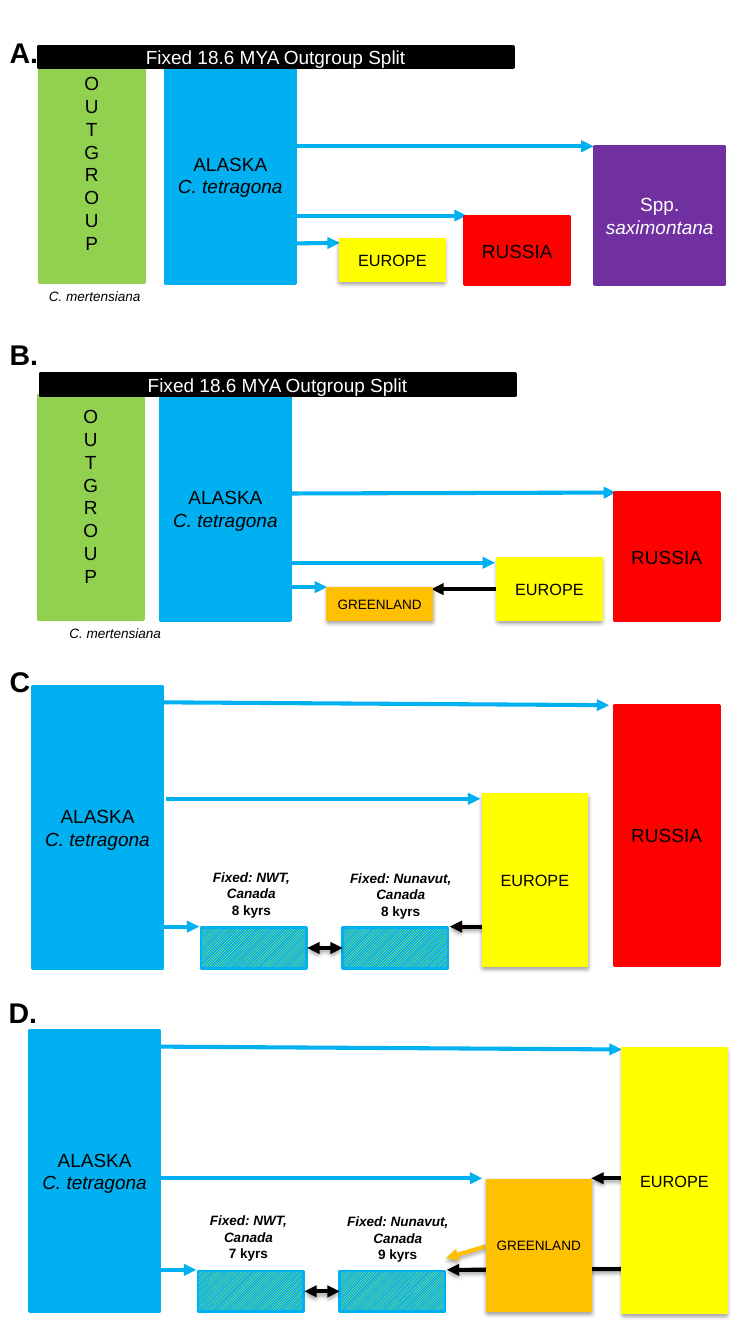
from pptx import Presentation
from pptx.dml.color import RGBColor as Rgb
from pptx.enum.dml import MSO_PATTERN as Pat
from pptx.enum.shapes import MSO_CONNECTOR as Con, MSO_SHAPE as Shp
from pptx.enum.text import MSO_ANCHOR as Anc, PP_ALIGN as Al
from pptx.oxml.ns import qn
from pptx.util import Cm, Inches as In, Pt
from lxml.etree import SubElement as Sub

HUES = {"blue": "00B0F0", "green": "92D050", "black": "000000", "white": "FFFFFF",
        "red": "FF0000", "yellow": "FFFF00", "orange": "FFC000", "purple": "7030A0"}

# Box kinds: fill, text colour, size, width, shadow, lines (* marks italics)
KINDS = {
    "alaska": ("blue", "black", 14, 1.34, False, ["ALASKA", "*C. tetragona"]),
    "outgroup": ("green", "black", 14, 1.08, False, list("OUTGROUP")),
    "split": ("black", "white", 14, 4.87, False, ["Fixed 18.6 MYA Outgroup Split"]),
    "spp": ("purple", "white", 14, 1.34, False, ["Spp.", "*saximontana"]),
    "russia": ("red", "black", 14, 1.08, False, ["RUSSIA"]),
    "europe": ("yellow", "black", 12, 1.08, True, ["EUROPE"]),
    "greenland": ("orange", "black", 10, 1.08, True, ["GREENLAND"]),
    "canada": ("blue", "black", 10, 1.08, False, []),
}

# Panels: letter (text, left, top), boxes (kind, left, top, height),
# arrows (colour, x1, y1, x2, y2, shadow), notes (lines, left, top, width)
PANELS = [
    {"letter": ("A.", 0, 0.31),
     "boxes": [("alaska", 1.69, 0.68, 2.23), ("outgroup", 0.4, 0.67, 2.23),
               ("spp", 6.09, 1.5, 1.42), ("europe", 3.48, 2.45, 0.44),
               ("split", 0.39, 0.48, 0.21), ("russia", 4.76, 2.22, 0.7)],
     "arrows": [("blue", 2.23, 1.5, 6.08, 1.5, False),
                ("blue", 2.37, 2.21, 4.78, 2.21, False),
                ("blue", 2.63, 2.5, 3.48, 2.49, False)],
     "notes": [(["*C. mertensiana"], 0.39, 2.9, 1.16)]},
    {"letter": ("B.", 0, 3.41),
     "boxes": [("alaska", 1.64, 4.06, 2.3), ("outgroup", 0.39, 4.05, 2.3),
               ("greenland", 3.35, 6.02, 0.34), ("split", 0.41, 3.83, 0.23),
               ("russia", 6.29, 5.05, 1.31), ("europe", 5.09, 5.72, 0.64)],
     "arrows": [("black", 5.25, 6.04, 4.42, 6.04, False),
                ("blue", 2.87, 5.06, 6.31, 5.05, False),
                ("blue", 2.78, 6.02, 3.35, 6.02, False),
                ("blue", 2.97, 5.77, 5.07, 5.77, False)],
     "notes": [(["*C. mertensiana"], 0.6, 6.36, 1.16)]},
    {"letter": ("C.", 0, 6.76), "canada": (0.33, 7.04, "8 kyrs", "8 kyrs"),
     "boxes": [("europe", 4.94, 8.14, 1.77), ("russia", 6.29, 7.23, 2.67)],
     "arrows": [("black", 5.37, 9.5, 4.61, 9.5, True),
                ("blue", 1.54, 7.2, 6.24, 7.23, False),
                ("blue", 1.7, 8.19, 4.92, 8.19, False)],
     "notes": []},
    {"letter": ("D.", -0.01, 10.15), "canada": (0.3, 10.56, "7 kyrs", "9 kyrs"),
     "boxes": [("europe", 6.37, 10.74, 2.73), ("greenland", 4.98, 12.09, 1.36)],
     "arrows": [("black", 6.91, 12.08, 6.06, 12.08, True),
                ("black", 6.56, 13.01, 4.58, 13.02, True),
                ("blue", 1.51, 10.73, 6.37, 10.76, False),
                ("blue", 1.54, 12.08, 4.94, 12.08, False),
                ("orange", 4.97, 12.78, 4.57, 12.9, True)],
     "notes": []},
]

prs = Presentation()
prs.slide_width = In(7.5)
prs.slide_height = Cm(35)
slide = prs.slides.add_slide(prs.slide_layouts[6])
shapes = slide.shapes


def hue(name):
    return Rgb.from_string(HUES[name])


def shade(fx):
    drop = Sub(fx, qn("a:outerShdw"), blurRad=str(Pt(3.1)), dist=str(Pt(1.8)),
               dir="5400000", rotWithShape="0")
    tint = Sub(drop, qn("a:srgbClr"), val=HUES["black"])
    Sub(tint, qn("a:alpha"), val="35000")


def write(frame, lines, size, tone="black", bold=False, align=Al.CENTER):
    frame.word_wrap = True
    frame.text = "\n".join(line.lstrip("*") for line in lines)
    for para, line in zip(frame.paragraphs, lines):
        para.alignment = align
        for run in para.runs:
            font = run.font
            font.name, font.size, font.bold = "Arial", Pt(size), bold
            font.italic = line.startswith("*")
            font.color.rgb = hue(tone)


def add_box(kind, left, top, high):
    fill, tone, size, wide, dark, lines = KINDS[kind]
    box = shapes.add_shape(Shp.RECTANGLE, In(left), In(top), In(wide), In(high))
    if kind == "canada":
        box.fill.patterned()
        box.fill.pattern = Pat.DARK_UPWARD_DIAGONAL
        box.fill.fore_color.rgb, box.fill.back_color.rgb = hue("yellow"), hue(fill)
    else:
        box.fill.solid()
        box.fill.fore_color.rgb = hue(fill)
    box.line.color.rgb = hue(fill)
    box.line.width = Pt(0.75 if dark else 2)
    box.shadow.inherit = False
    if dark:
        shade(box._element.spPr.find(qn("a:effectLst")))
    if lines:
        frame = box.text_frame
        frame.vertical_anchor = Anc.MIDDLE
        write(frame, lines, size, tone)
        if kind == "outgroup":
            frame.margin_bottom = In(0.28)


def add_arrow(tone, x1, y1, x2, y2, dark, both=False):
    arrow = shapes.add_connector(Con.STRAIGHT, In(x1), In(y1), In(x2), In(y2))
    arrow.line.color.rgb, arrow.line.width = hue(tone), Pt(3)
    ends = ("headEnd", "tailEnd") if both else ("tailEnd",)
    for end in ends:
        Sub(arrow.line._get_or_add_ln(), qn("a:" + end), type="triangle")
    fx = Sub(arrow._element.spPr, qn("a:effectLst"))
    if dark:
        shade(fx)


def add_text(lines, left, top, wide, high, size, bold, align=Al.CENTER, side=0.1):
    text = shapes.add_textbox(In(left), In(top), In(wide), In(high))
    frame = text.text_frame
    frame.margin_left = frame.margin_right = In(side)
    write(frame, lines, size, bold=bold, align=align)


def add_canada(x, y, west, east):
    """Alaska and the two Canadian sites, placed from Alaska's top left corner."""
    add_arrow("blue", x + 0.35, y + 2.46, x + 1.71, y + 2.46, False)
    add_box("alaska", x, y, 2.89)
    sites = [("*Fixed: NWT, Canada", west), ("*Fixed: Nunavut, Canada", east)]
    for col, lines in enumerate(sites):
        add_box("canada", x + 1.73 + 1.45 * col, y + 2.47, 0.42)
        add_text(lines, x + 1.62 + 1.53 * col, y + 1.82 + 0.01 * col,
                 1.25, 0.61, 10, True)
    add_arrow("black", x + 2.82, y + 2.68, x + 3.18, y + 2.68, True, both=True)


# Each panel from back to front
for panel in PANELS:
    letter, left, top = panel["letter"]
    add_text([letter], left, top, 0.55, 0.45, 21, True, Al.LEFT)
    for arrow in panel["arrows"]:
        add_arrow(*arrow)
    if "canada" in panel:
        add_canada(*panel["canada"])
    for box in panel["boxes"]:
        add_box(*box)
    for lines, left, top, wide in panel["notes"]:
        add_text(lines, left, top, wide, 0.27, 10, False, side=0.05)

prs.save("out.pptx")
